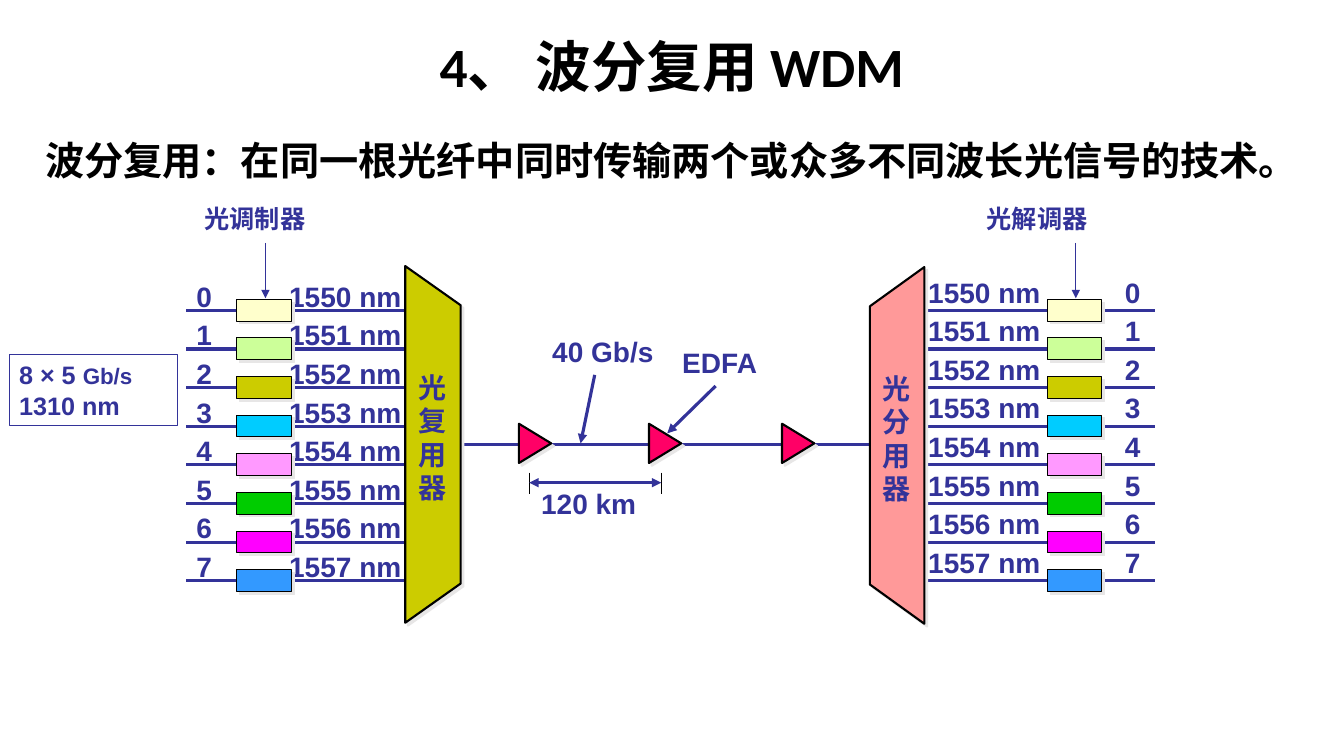
from dataclasses import dataclass

from pptx import Presentation
from pptx.dml.color import RGBColor
from pptx.enum.shapes import MSO_CONNECTOR as Link, MSO_SHAPE as Preset
from pptx.enum.text import MSO_ANCHOR as Anchor, MSO_AUTO_SIZE as Fit, PP_ALIGN as Align
from pptx.oxml.ns import qn
from pptx.util import Inches, Pt
from lxml.etree import SubElement


@dataclass(frozen=True)
class Theme:
    """Colours, fonts and type sizes of the slide."""
    ink: str = "333399"
    black: str = "000000"
    shade: str = "E7E6E6"
    mux: str = "CCCC00"
    demux: str = "FF9999"
    amplifier: str = "FF0066"
    channels: tuple = ("FFFFCC", "CCFF99", "CCCC00", "00CCFF",
                       "FF99FF", "00CC00", "FF00FF", "3399FF")
    label: str = "Arial"
    heading: str = "Calibri"
    serif: str = "Times New Roman"
    chinese: str = "Noto Sans CJK SC"
    title_size: float = 39.6
    lead_size: float = 28
    body_size: float = 20
    small_size: float = 18
    unit_size: float = 16
    thin: float = 0.75
    outline: float = 1.5
    thick: float = 2.25


THEME = Theme()
WIDTH, HEIGHT = Inches(13.33), Inches(7.5)
CELL = WIDTH / 40          # square grid: 40 columns by 22.5 rows
PITCH = 1.15               # rows between neighbouring channels


@dataclass(frozen=True)
class Box:
    """A region in grid columns and rows."""
    col: float
    row: float
    cols: float
    rows: float

    def inner(self, col, row, cols, rows):
        """Return a box placed relative to this one."""
        return Box(self.col + col, self.row + row, cols, rows)

    def point(self, col, row):
        """Return a relative grid point in EMU."""
        return round((self.col + col) * CELL), round((self.row + row) * CELL)

    def emu(self):
        """Return left, top, width and height in EMU."""
        return *self.point(0, 0), round(self.cols * CELL), round(self.rows * CELL)


def rgb(code):
    """Turn a hex code into a colour."""
    return RGBColor.from_string(code)


def style_font(font, face, size, color=THEME.ink):
    """Set a bold font for Latin and Chinese text."""
    for key, value in {"name": face, "size": Pt(size), "bold": True}.items():
        setattr(font, key, value)
    font.color.rgb = rgb(color)
    SubElement(font._element, qn("a:ea"), typeface=THEME.chinese)


def write(frame, lines, face=THEME.label, size=THEME.body_size, color=THEME.ink,
          spacing=None, tab=None):
    """Fill a text frame with one paragraph per line."""
    frame.text = "\n".join(lines)
    for paragraph in frame.paragraphs:
        paragraph.alignment = Align.LEFT
        if spacing:
            paragraph.line_spacing = Pt(spacing * size)
        if tab:
            stops = SubElement(paragraph._p.get_or_add_pPr(), qn("a:tabLst"))
            SubElement(stops, qn("a:tab"), pos=str(round(tab * CELL)), algn="l")
        for run in paragraph.runs:
            style_font(run.font, face, size, color)


def add_label(slide, box, lines, wrap=False, **look):
    """Add a text box."""
    frame = slide.shapes.add_textbox(*box.emu()).text_frame
    frame.word_wrap = wrap
    write(frame, lines, **look)


def finish(shape, fill, line):
    """Give a solid shape its fill, black outline and offset shadow."""
    shape.fill.solid()
    shape.fill.fore_color.rgb = rgb(fill)
    shape.line.color.rgb = rgb(THEME.black)
    shape.line.width = Pt(line)
    shape.shadow.inherit = False
    effects = shape._element.spPr.find(qn("a:effectLst"))
    shadow = SubElement(effects, qn("a:outerShdw"), dist=str(Pt(2.8)),
                        dir="2700000", algn="ctr", rotWithShape="0")
    SubElement(shadow, qn("a:srgbClr"), val=THEME.shade)


def add_line(slide, start, end, width=THEME.thick, color=THEME.ink, heads=()):
    """Draw a straight line with optional arrowheads."""
    line = slide.shapes.add_connector(Link.STRAIGHT, *start, *end)
    line.line.color.rgb = rgb(color)
    line.line.width = Pt(width)
    for head in heads:
        SubElement(line.line._get_or_add_ln(), qn(f"a:{head}"), type="triangle")
    SubElement(line._element.spPr, qn("a:effectLst"))


def add_heading(slide, box, text):
    """Place and format the title."""
    title = slide.shapes.title
    for key, value in zip(("left", "top", "width", "height"), box.emu()):
        setattr(title, key, value)
    frame = title.text_frame
    write(frame, [text], THEME.heading, THEME.title_size, THEME.black)
    for key, value in {"vertical_anchor": Anchor.MIDDLE, "auto_size": Fit.NONE}.items():
        setattr(frame, key, value)
    frame.paragraphs[0].alignment = Align.CENTER
    frame.paragraphs[0].line_spacing = 0.9


def add_capacity(slide, box):
    """Add the outlined note on the incoming signals."""
    note = slide.shapes.add_shape(Preset.RECTANGLE, *box.emu())
    note.fill.background()
    note.line.color.rgb = rgb(THEME.ink)
    note.line.width = Pt(THEME.thin)
    note.shadow.inherit = False
    write(note.text_frame, ["8 × 5 ", "1310 nm"], size=THEME.small_size)
    unit = note.text_frame.paragraphs[0].add_run()
    unit.text = "Gb/s"
    style_font(unit.font, THEME.label, THEME.unit_size)


def add_channels(slide, box, name, name_col, chip_col, rows, text_at, tab):
    """Draw eight channels with their converters, labels and pointer."""
    add_label(slide, box.inner(*text_at, 7.6, 9.48), rows, wrap=True, spacing=1.38, tab=tab)
    for index in range(len(rows)):
        row = 3.42 + index * PITCH
        add_line(slide, box.point(0, row), box.point(box.cols, row))
    for index, color in enumerate(THEME.channels):
        chip = box.inner(chip_col, 3.09 + index * PITCH, 1.62, 0.65)
        finish(slide.shapes.add_shape(Preset.RECTANGLE, *chip.emu()), color, THEME.thin)
    add_label(slide, box.inner(name_col, 0.09, 3.66, 1.2), [name],
              size=THEME.small_size, spacing=1.2)
    middle = chip_col + 0.85
    add_line(slide, box.point(middle, 1.41), box.point(middle, 3.06),
             THEME.thin, heads=["tailEnd"])


def add_funnel(slide, box, name, color, tall_side, short_side):
    """Draw a trapezoid between two sides, with its name set downwards."""
    slant = 0.11 * box.rows
    corners = [box.point(tall_side * box.cols, 0),
               box.point(short_side * box.cols, slant),
               box.point(short_side * box.cols, box.rows - slant),
               box.point(tall_side * box.cols, box.rows)]
    outline = slide.shapes.build_freeform(*corners[0])
    outline.add_line_segments(corners[1:], close=True)
    finish(outline.convert_to_shape(), color, THEME.outline)
    add_label(slide, box.inner(0.09, 2.95, 1.44, 4.35), name, face=THEME.serif, spacing=1.2)


def add_fibre(slide, box):
    """Draw the fibre with its amplifiers, labels and span measure."""
    axis = 3.48
    add_line(slide, box.point(0, axis), box.point(box.cols, axis))
    for center in (3.35, 7.22, 11.18):
        spot = box.inner(center - 0.58, axis - 0.51, 1.17, 0.96)
        amplifier = slide.shapes.add_shape(Preset.ISOSCELES_TRIANGLE, *spot.emu())
        amplifier.rotation = 90
        finish(amplifier, THEME.amplifier, THEME.outline)
    for text, col, row, cols in (("40 Gb/s", 3.57, 0.06, 3.63),
                                 ("EDFA", 7.44, 0.39, 2.85),
                                 ("120 km", 3.24, 4.59, 3.45)):
        add_label(slide, box.inner(col, row, cols, 1.32), [text])
    for start, end in (((5.13, 1.41), (4.71, 3.45)), ((8.73, 1.74), (7.29, 3.15))):
        add_line(slide, box.point(*start), box.point(*end), heads=["tailEnd"])
    span = (3.18, 7.11)
    for col in span:
        add_line(slide, box.point(col, 4.32), box.point(col, 4.95), THEME.thin, THEME.black)
    add_line(slide, *(box.point(col, 4.62) for col in span), heads=["headEnd", "tailEnd"])


def build():
    """Build the slide and save it."""
    deck = Presentation()
    deck.slide_width, deck.slide_height = WIDTH, HEIGHT
    slide = deck.slides.add_slide(deck.slide_layouts[5])
    add_heading(slide, Box(6.3, 1.08, 27.39, 2.01), "4、 波分复用 WDM")
    add_label(slide, Box(1.05, 3.78, 38.46, 1.71),
              ["波分复用：在同一根光纤中同时传输两个或众多不同波长光信号的技术。"],
              face=THEME.chinese, size=THEME.lead_size, color=THEME.black, spacing=1.3)
    add_capacity(slide, Box(0.27, 10.56, 5.01, 2.1))
    waves = [(str(n), f"{1550 + n} nm") for n in range(len(THEME.channels))]
    add_channels(slide, Box(5.55, 5.82, 6.87, 12), "光调制器", 0.24, 1.5,
                 [f"{number}\t{wave}" for number, wave in waves], (0, 2.19), 2.76)
    add_channels(slide, Box(27.51, 5.82, 6.87, 12), "光解调器", 1.56, 3.66,
                 [f"{wave}\t{number}" for number, wave in waves], (-0.18, 2.07), 5.85)
    add_fibre(slide, Box(12.57, 9.75, 14.76, 6))
    add_funnel(slide, Box(12.06, 7.92, 1.65, 10.62), "光复用器", THEME.mux, 0, 1)
    add_funnel(slide, Box(25.89, 7.95, 1.62, 10.62), "光分用器", THEME.demux, 1, 0)
    deck.save("out.pptx")


build()
